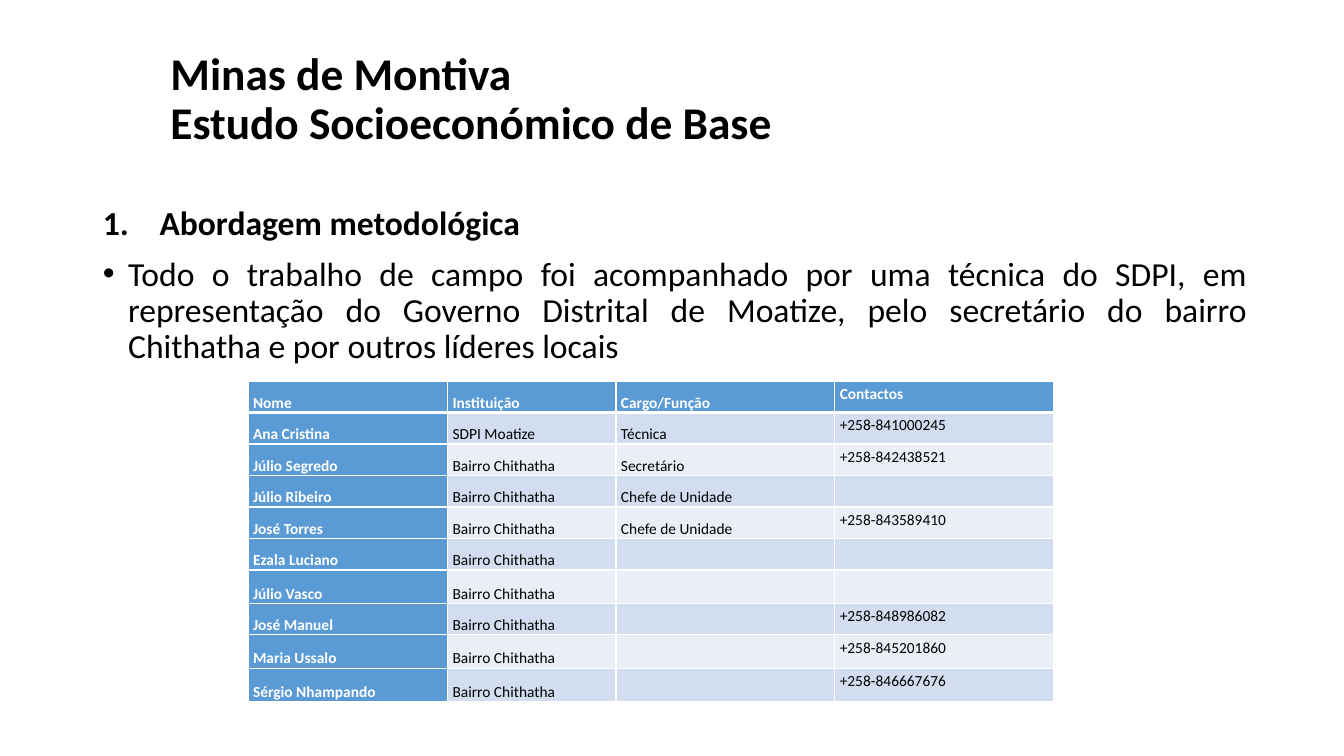
import pptx
import pptx.dml.color
import pptx.enum.text
import pptx.oxml
import pptx.oxml.ns
import pptx.util

COLORS = {"text": "000000", "white": "FFFFFF", "accent": "5B9BD5",
          "odd": "D2DEEF", "even": "EAEFF7"}
DISTRICT = "Bairro Chithatha"
CONTACTS = [
    ("Nome", "Instituição", "Cargo/Função", "Contactos"),
    ("Ana Cristina", "SDPI Moatize", "Técnica", "+258-841000245"),
    ("Júlio Segredo", DISTRICT, "Secretário", "+258-842438521"),
    ("Júlio Ribeiro", DISTRICT, "Chefe de Unidade", ""),
    ("José Torres", DISTRICT, "Chefe de Unidade", "+258-843589410"),
    ("Ezala Luciano", DISTRICT, "", ""),
    ("Júlio Vasco", DISTRICT, "", ""),
    ("José Manuel", DISTRICT, "", "+258-848986082"),
    ("Maria Ussalo", DISTRICT, "", "+258-845201860"),
    ("Sérgio Nhampando", DISTRICT, "", "+258-846667676"),
]


def rgb(name):
    """Return the named colour."""
    return pptx.dml.color.RGBColor.from_string(COLORS[name])


class SlideBuilder:
    """Holds the style and the current slide; places are percentages of the slide."""

    font = "Calibri"

    def __init__(self, presentation):
        """Add a title and content slide."""
        self.width = presentation.slide_width
        self.height = presentation.slide_height
        self.slide = presentation.slides.add_slide(presentation.slide_layouts[1])

    def across(self, share):
        """Turn a percentage of the width into a length."""
        return round(self.width * share / 100)

    def down(self, share):
        """Turn a percentage of the height into a length."""
        return round(self.height * share / 100)

    def place(self, shape, left, top, width, height):
        """Move and size a shape."""
        shape.left, shape.top = self.across(left), self.down(top)
        shape.width, shape.height = self.across(width), self.down(height)

    def run(self, paragraph, text, size, bold=False, color="text"):
        """Add one formatted run."""
        run = paragraph.add_run()
        run.text = text
        run.font.name = self.font
        run.font.size = pptx.util.Pt(size)
        run.font.bold = bold
        run.font.color.rgb = rgb(color)

    def title(self, lines, *box):
        """Fill the title placeholder, one run for each line."""
        shape = self.slide.shapes.title
        self.place(shape, *box)
        frame = shape.text_frame
        frame.auto_size = pptx.enum.text.MSO_AUTO_SIZE.NONE
        frame.vertical_anchor = pptx.enum.text.MSO_ANCHOR.MIDDLE
        paragraph = frame.paragraphs[0]
        paragraph.alignment = pptx.enum.text.PP_ALIGN.LEFT
        paragraph.line_spacing = 0.9
        for index, line in enumerate(lines):
            if index:
                paragraph.add_line_break()
            self.run(paragraph, line, 32.4, bold=True)

    def body(self, items, *box):
        """Fill the body placeholder with (text, bold, alignment, indent, marker) items."""
        shape = self.slide.placeholders[1]
        self.place(shape, *box)
        frame = shape.text_frame
        frame.auto_size = pptx.enum.text.MSO_AUTO_SIZE.NONE
        for index, (text, bold, alignment, indent, marker) in enumerate(items):
            paragraph = frame.add_paragraph() if index else frame.paragraphs[0]
            paragraph.alignment = alignment
            paragraph.line_spacing = 0.9
            paragraph.space_before = pptx.util.Pt(10)
            properties = paragraph._p.get_or_add_pPr()
            margin = self.across(indent)
            properties.set("marL", str(margin))
            properties.set("indent", str(-margin))
            namespace = pptx.oxml.ns.nsdecls("a")
            for tag in ('buFont typeface="Arial"', marker):
                properties.append(pptx.oxml.parse_xml(f"<a:{tag} {namespace}/>"))
            self.run(paragraph, text, 24, bold)

    def borders(self, cell, top, bottom):
        """Draw white borders round a cell, with widths in points."""
        for side, points in (("L", 1), ("R", 1), ("T", top), ("B", bottom)):
            cell._tc.get_or_add_tcPr().append(pptx.oxml.parse_xml(
                f'<a:ln{side} {pptx.oxml.ns.nsdecls("a")} w="{pptx.util.Pt(points)}">'
                f'<a:solidFill><a:srgbClr val="{COLORS["white"]}"/></a:solidFill>'
                f'</a:ln{side}>'))

    def cell(self, cell, text, row, column):
        """Format one table cell by its row and column."""
        heading = row == 0 or column == 0
        self.borders(cell, 3 if row == 1 else 1, 3 if row == 0 else 1)
        cell.fill.solid()
        band = "odd" if row % 2 else "even"
        cell.fill.fore_color.rgb = rgb("accent" if heading else band)
        cell.margin_left = cell.margin_right = pptx.util.Inches(0.05)
        cell.margin_top = cell.margin_bottom = 0
        anchors = pptx.enum.text.MSO_ANCHOR
        cell.vertical_anchor = anchors.BOTTOM if text and column < 3 else anchors.TOP
        paragraph = cell.text_frame.paragraphs[0]
        paragraph.line_spacing = pptx.util.Pt(16)
        if text:
            self.run(paragraph, text, 11, heading, "white" if heading else "text")

    def table(self, records, left, top, widths, heights):
        """Add a table with a header row and a header column."""
        table = self.slide.shapes.add_table(
            len(records), len(widths), self.across(left), self.down(top),
            self.across(sum(widths)), self.down(sum(heights))).table
        table.first_col = True
        for column, width in zip(table.columns, widths):
            column.width = self.across(width)
        for row, height in zip(table.rows, heights):
            row.height = self.down(height)
        for row, record in enumerate(records):
            for column, text in enumerate(record):
                self.cell(table.cell(row, column), text, row, column)


def main():
    """Build and save the presentation."""
    presentation = pptx.Presentation()
    presentation.slide_width = pptx.util.Inches(13.33)
    presentation.slide_height = pptx.util.Inches(7.5)
    builder = SlideBuilder(presentation)
    align = pptx.enum.text.PP_ALIGN
    builder.title(["Minas de Montiva", "Estudo Socioeconómico de Base"],
                  11.93, 7.33, 80.42, 12)
    builder.body([
        ("Abordagem metodológica", True, align.LEFT, 4.22,
         'buAutoNum type="arabicPeriod"'),
        ("Todo o trabalho de campo foi acompanhado por uma técnica do SDPI, em "
         "representação do Governo Distrital de Moatize, pelo secretário do bairro "
         "Chithatha e por outros líderes locais", False, align.JUSTIFY, 1.88,
         'buChar char="•"'),
    ], 6.9, 26.67, 86.65, 68.93)
    short, tall = 4.17, 4.4
    builder.table(CONTACTS, 18.45, 50.4, [14.85, 12.53, 16.28, 16.28],
                  [short] * 6 + [tall, short, tall, tall])
    presentation.save("out.pptx")


main()
